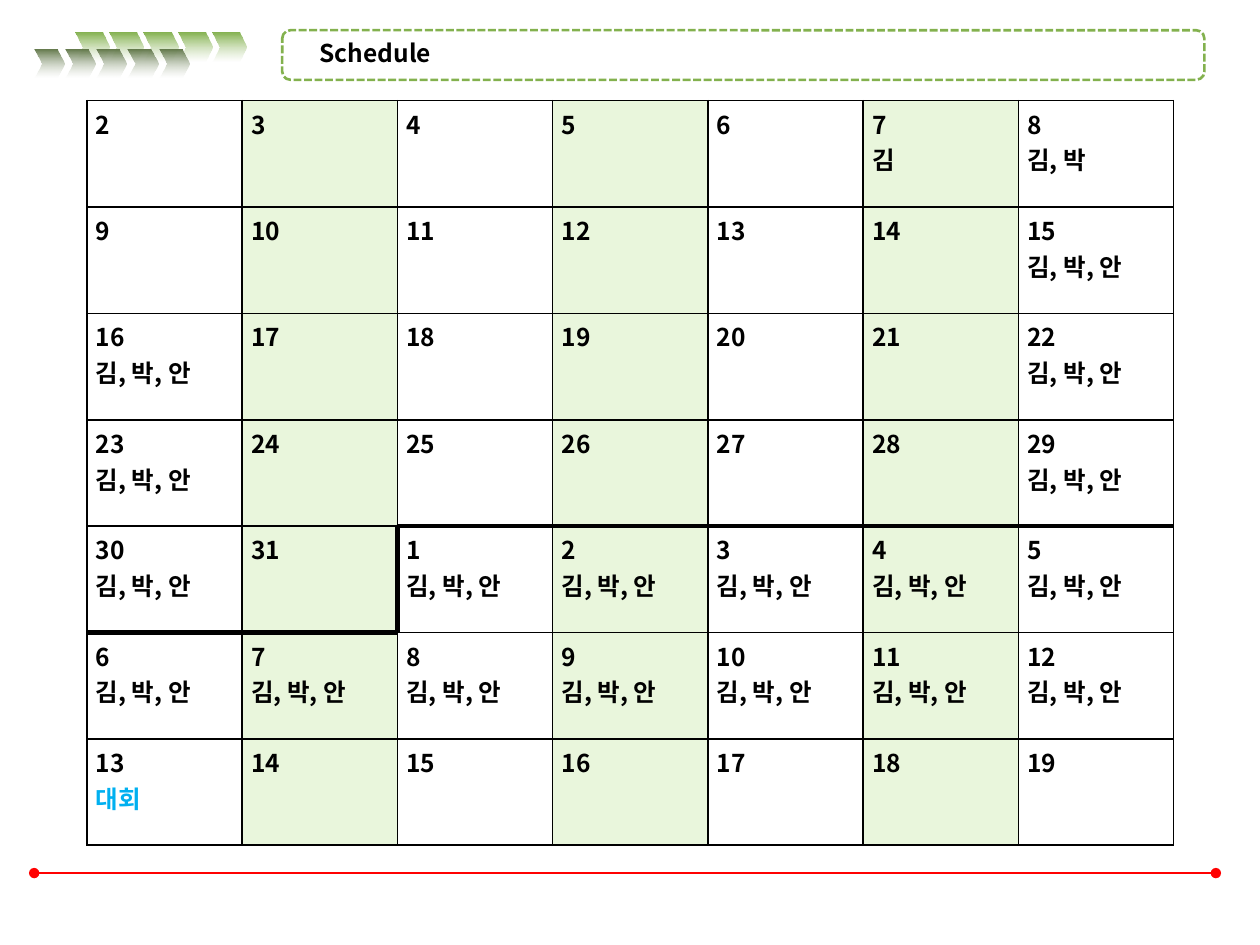
from lxml import etree
from pptx import Presentation, util as u
from pptx.dml.color import RGBColor
from pptx.enum import dml, shapes, text
from pptx.oxml.ns import qn

FACE = "Noto Sans CJK KR"
DAYS, WEEKS, MONTH = 7, 7, 30
TRIO = "김, 박, 안"
NOTES = {5: "김", 6: "김, 박", 42: "대회"}


def tint(code):
    """Turn a hex string into a colour."""
    return RGBColor.from_string(code)


def span(*box):
    """Turn centimetres into lengths."""
    return [u.Cm(n) for n in box]


def style(par, code="000000"):
    """Give a paragraph the bold face of the slide."""
    font = par.font
    font.name, font.size, font.bold = FACE, u.Pt(14), True
    font.color.rgb = tint(code)
    props = par._p.get_or_add_pPr().find(qn("a:defRPr"))
    etree.SubElement(props, qn("a:ea"), typeface=FACE)
    for run in par.runs:
        run.font.name, run.font.size, run.font.bold = FACE, u.Pt(14), True
        run.font.color.rgb = tint(code)
        etree.SubElement(run.font._element, qn("a:ea"), typeface=FACE)


def rule(slide, left, top, width):
    """Draw the red foot line with its round ends."""
    line = slide.shapes.add_connector(
        shapes.MSO_CONNECTOR.STRAIGHT, *span(left, top, left + width, top))
    line.line.color.rgb = tint("FF0101")
    line.line.width = u.Pt(0.75)
    for end in ("a:headEnd", "a:tailEnd"):
        etree.SubElement(line.line._get_or_add_ln(), qn(end), type="oval")
    etree.SubElement(line._element.spPr, qn("a:effectLst"))


def arrows(slide, left, top, width, step, notch, code, fade):
    """Draw a row of five fading chevrons."""
    for n in range(5):
        mark = slide.shapes.add_shape(
            shapes.MSO_SHAPE.CHEVRON, *span(left + n * step, top, width, 0.58))
        mark.adjustments[0] = notch
        mark.shadow.inherit = False
        mark.line.fill.background()
        mark.fill.gradient()
        mark.fill.gradient_angle = 270
        for stop, hue in zip(mark.fill.gradient_stops, (code, "FFFFFF")):
            stop.color.rgb = tint(hue)
        last = mark._element.spPr.findall(".//" + qn("a:srgbClr"))[-1]
        etree.SubElement(last, qn("a:alpha"), val=str(fade * 1000))


def header(slide, left, top, width, height):
    """Draw the dashed frame and the title in it."""
    frame = slide.shapes.add_shape(
        shapes.MSO_SHAPE.ROUNDED_RECTANGLE, *span(left, top, width, height))
    frame.shadow.inherit = False
    frame.fill.background()
    frame.line.color.rgb = tint("83B14E")
    frame.line.width = u.Pt(1.5)
    frame.line.dash_style = dml.MSO_LINE.SQUARE_DOT
    title = slide.shapes.add_textbox(
        *span(left + 0.2, top + 0.08, 11.76, 1.09)).text_frame
    title.word_wrap = True
    title.margin_left, title.margin_top = span(0.55, 0.08)
    title.vertical_anchor = text.MSO_ANCHOR.TOP
    title.text = "Schedule"
    style(title.paragraphs[0])


def edge(cell, n):
    """Line a cell, with thick sides where the month ends."""
    thick = {"L": n == MONTH, "R": n == MONTH - 1,
             "T": MONTH <= n < MONTH + DAYS, "B": MONTH - DAYS <= n < MONTH}
    props = cell._tc.get_or_add_tcPr()
    for side, bold in thick.items():
        line = etree.SubElement(
            props, qn("a:ln" + side), w=str(u.Pt(3 if bold else 1)))
        fill = etree.SubElement(line, qn("a:solidFill"))
        etree.SubElement(fill, qn("a:srgbClr"), val="000000")


def note(n):
    """Tell who is on duty on a given day of the grid."""
    rest = 13 <= n < MONTH and n % DAYS in (0, DAYS - 1)
    full = rest or MONTH <= n < MONTH + 12
    return TRIO if full else NOTES.get(n)


def month(slide, left, top, width, height):
    """Build the calendar table."""
    grid = slide.shapes.add_table(
        WEEKS, DAYS, *span(left, top, width, height)).table
    grid.first_row = grid.horz_banding = False
    for n, cell in enumerate(grid.iter_cells()):
        edge(cell, n)
        cell.fill.solid()
        cell.fill.fore_color.rgb = tint("E9F6DC" if n % DAYS % 2 else "FFFFFF")
        cell.margin_left = cell.margin_right = u.Cm(0.18)
        cell.margin_top = cell.margin_bottom = u.Cm(0.1)
        day = n + 2 if n < MONTH else n - MONTH + 1
        cell.text = "\n".join(filter(None, (str(day), note(n))))
        for par in cell.text_frame.paragraphs:
            style(par, "00B0F0" if par.text == "대회" else "000000")


def main():
    """Build the slide and save it."""
    deck = Presentation()
    deck.slide_width, deck.slide_height = span(25.4, 19.05)
    slide = deck.slides.add_slide(deck.slide_layouts[6])
    rule(slide, 0.69, 17.6, 23.82)
    arrows(slide, 1.52, 0.66, 0.69, 0.69, 0.25, "83B14E", 52)
    arrows(slide, 0.69, 0.99, 0.61, 0.63, 0.27, "617749", 36)
    header(slide, 5.69, 0.61, 18.59, 1)
    month(slide, 1.75, 2.03, 21.91, 15.01)
    deck.save("out.pptx")


if __name__ == "__main__":
    main()
